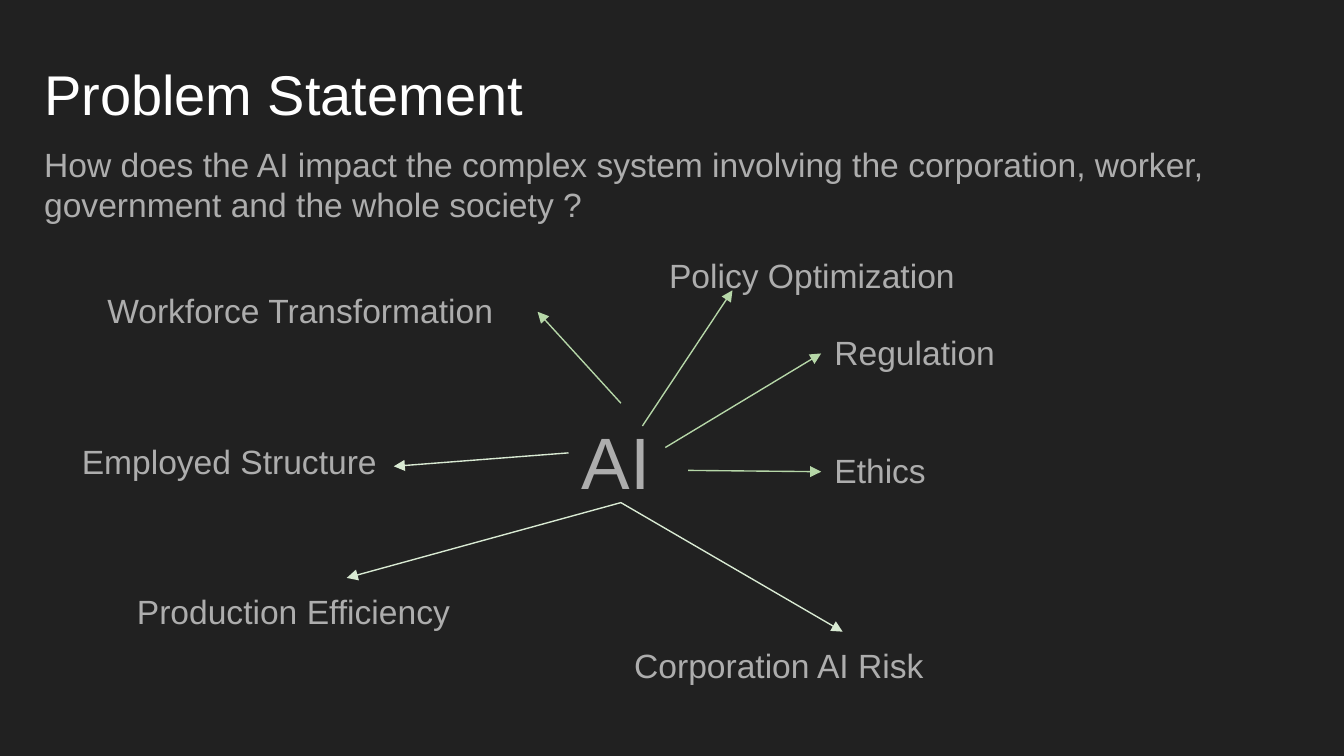
"""Build the problem statement slide: AI and the areas it affects."""
from lxml.etree import SubElement
from pptx import Presentation
from pptx.dml.color import RGBColor
from pptx.enum.shapes import MSO_CONNECTOR as Connector
from pptx.enum.text import MSO_ANCHOR as Anchor, MSO_AUTO_SIZE as AutoSize
from pptx.oxml.ns import qn
from pptx.util import Inches, Pt

DARK = RGBColor(0x21, 0x21, 0x21)
WHITE = RGBColor(0xFF, 0xFF, 0xFF)
GREY = RGBColor(0xAD, 0xAD, 0xAD)
GREEN = RGBColor(0xB6, 0xD7, 0xA8)
PALE_GREEN = RGBColor(0xD9, 0xEA, 0xD3)

LEFT_WIDTH, RIGHT_WIDTH, LABEL_HEIGHT = 3.31, 3.89, 0.52

TOPICS = [
    ("Workforce Transformation", 0.7, 2.06, LEFT_WIDTH),
    ("Employed Structure", 0.51, 3.18, LEFT_WIDTH),
    ("Production Efficiency", 0.92, 4.3, LEFT_WIDTH),
    ("Corporation AI Risk", 4.62, 4.7, LEFT_WIDTH),
    ("Policy Optimization", 4.88, 1.8, RIGHT_WIDTH),
    ("Regulation", 6.11, 2.37, RIGHT_WIDTH),
    ("Ethics", 6.11, 3.25, RIGHT_WIDTH),
]

IMPACTS = [
    ((4.62, 3), (4, 2.32), GREEN),
    ((4.23, 3.37), (2.93, 3.47), PALE_GREEN),
    ((4.62, 3.74), (2.58, 4.3), PALE_GREEN),
    ((4.62, 3.74), (6.27, 4.7), PALE_GREEN),
    ((4.78, 3.17), (5.45, 2.16), GREEN),
    ((4.95, 3.33), (6.11, 2.63), GREEN),
    ((5.12, 3.5), (6.11, 3.51), GREEN),
]


class SlideBuilder:
    FRAME = {
        "word_wrap": True,
        "auto_size": AutoSize.NONE,
        "vertical_anchor": Anchor.TOP,
        "margin_left": Inches(0.1),
        "margin_top": Inches(0.1),
        "margin_right": Inches(0.1),
        "margin_bottom": Inches(0.1),
    }

    def __init__(self, deck):
        self.slide = deck.slides.add_slide(deck.slide_layouts[6])
        background = self.slide.background.fill
        background.solid()
        background.fore_color.rgb = DARK

    def text(self, wording, left, top, width, height=LABEL_HEIGHT,
             size=18, color=GREY, spacing=1.0):
        box = self.slide.shapes.add_textbox(
            Inches(left), Inches(top), Inches(width), Inches(height))
        frame = box.text_frame
        for name, value in self.FRAME.items():
            setattr(frame, name, value)
        paragraph = frame.paragraphs[0]
        paragraph.line_spacing = spacing
        run = paragraph.add_run()
        run.text = wording
        for name, value in {"name": "Arial", "size": Pt(size)}.items():
            setattr(run.font, name, value)
        run.font.color.rgb = color

    def arrow(self, start, end, color):
        arrow = self.slide.shapes.add_connector(
            Connector.STRAIGHT, *map(Inches, start + end))
        arrow.line.width = Pt(0.75)
        arrow.line.color.rgb = color
        properties = arrow.line._get_or_add_ln()
        SubElement(properties, qn("a:tailEnd"), type="triangle")
        SubElement(properties.getparent(), qn("a:effectLst"))


def main():
    deck = Presentation()
    deck.slide_width = Inches(10)
    deck.slide_height = Inches(10 * 9 / 16)
    builder = SlideBuilder(deck)
    builder.text("Problem Statement", 0.23, 0.27, 9.32, 0.63,
                 size=30, color=WHITE, spacing=1.15)
    builder.text("How does the AI impact the complex system involving the "
                 "corporation, worker, government and the whole society ?",
                 0.23, 0.97, 9.32, 0.75)
    builder.text("AI", 4.23, 3, 0.77, 0.75, size=39)
    for topic in TOPICS:
        builder.text(*topic)
    for impact in IMPACTS:
        builder.arrow(*impact)
    deck.save("out.pptx")


if __name__ == "__main__":
    main()
